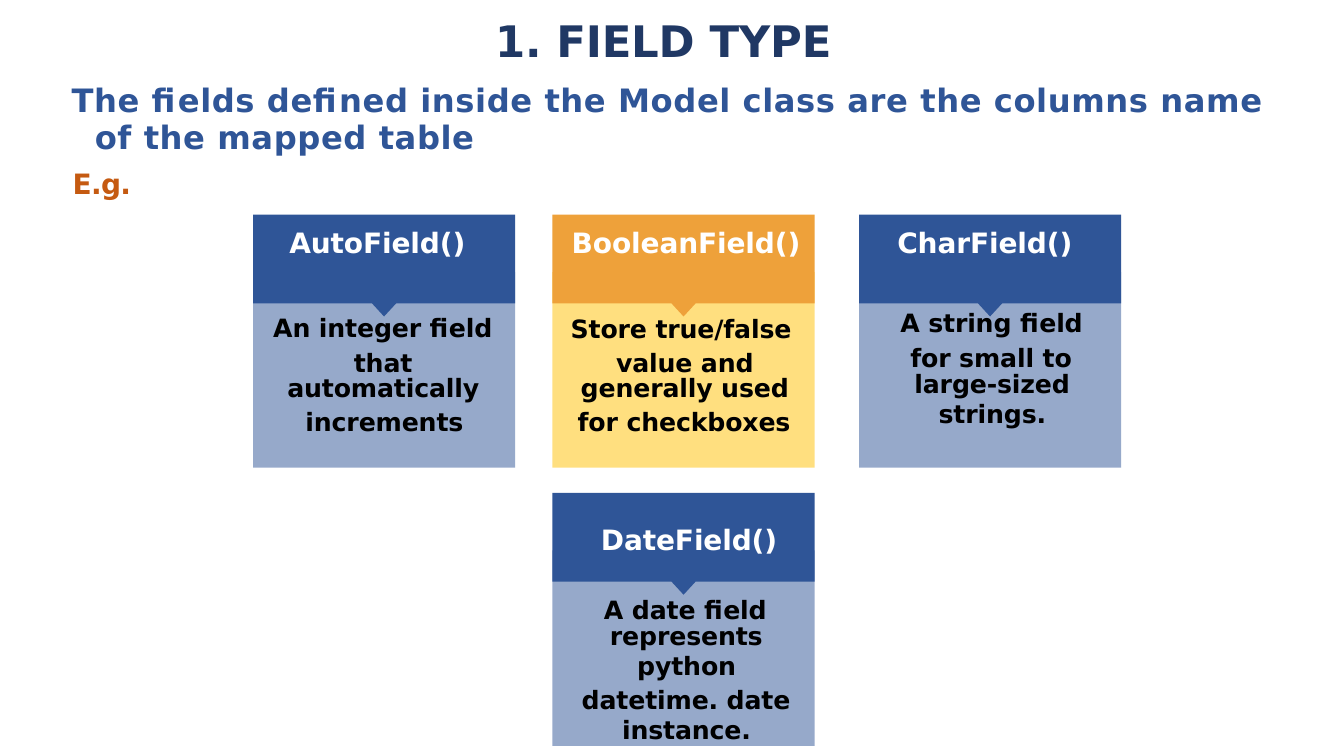
from pptx import Presentation
from pptx.dml.color import RGBColor
from pptx.enum.shapes import MSO_SHAPE
from pptx.oxml.ns import qn
from pptx.util import Inches, Pt
from lxml import etree

RECTANGLE = MSO_SHAPE.RECTANGLE
COLORS = {
    "navy": "203864",
    "blue": "2F5597",
    "rust": "C55A11",
    "orange": "EEA13A",
    "amber": "FFC000",
    "white": "FFFFFF",
    "black": "000000",
}
CARD_WIDTH = 2.6
HEADER_HEIGHT = 0.88
PANEL_OFFSET = 0.57
PANEL_HEIGHT = 1.94
BODY_LINE = 18


class FieldSlide:
    """Style and drawing methods for the field type slide."""

    font = "DejaVu Sans"

    def __init__(self, presentation):
        self.slide = presentation.slides.add_slide(presentation.slide_layouts[6])

    def paint(self, shape, color, opacity=100):
        shape.shadow.inherit = False
        shape.line.fill.background()
        shape.fill.solid()
        shape.fill.fore_color.rgb = RGBColor.from_string(COLORS[color])
        if opacity < 100:
            element = shape.fill._xPr.find(qn("a:solidFill"))[0]
            etree.SubElement(element, qn("a:alpha")).set("val", str(opacity * 1000))

    def panel(self, left, top, color):
        shape = self.slide.shapes.add_shape(
            RECTANGLE, Inches(left), Inches(top), Inches(CARD_WIDTH), Inches(PANEL_HEIGHT))
        self.paint(shape, color, 50)

    def header(self, left, top, color):
        right, bottom, middle = left + CARD_WIDTH, top + HEADER_HEIGHT, left + CARD_WIDTH / 2
        corners = [(right, top), (right, bottom), (middle + 0.12, bottom),
                   (middle, bottom + 0.13), (middle - 0.12, bottom), (left, bottom)]
        builder = self.slide.shapes.build_freeform(Inches(left), Inches(top), scale=1.0)
        builder.add_line_segments([(Inches(x), Inches(y)) for x, y in corners], close=True)
        self.paint(builder.convert_to_shape(), color)

    def text_box(self, left, top, width, height, inset):
        shape = self.slide.shapes.add_textbox(
            Inches(left), Inches(top), Inches(width), Inches(height))
        text_frame = shape.text_frame
        text_frame.word_wrap = True
        text_frame.margin_left = text_frame.margin_right = text_frame.margin_bottom = 0
        text_frame.margin_top = Inches(inset)
        return text_frame

    def line(self, text_frame, text, indent, size, color, height,
             before=0, tracking=-0.1, hanging=0):
        paragraph = text_frame.paragraphs[0]
        if paragraph.text:
            paragraph = text_frame.add_paragraph()
        paragraph.text = text
        paragraph.line_spacing = Pt(height)
        paragraph.space_before = Pt(before)
        properties = paragraph._p.get_or_add_pPr()
        properties.set("marL", str(Inches(indent + hanging)))
        properties.set("indent", str(-Inches(hanging)))
        for run in paragraph.runs:
            run.font.name = self.font
            run.font.size = Pt(size)
            run.font.bold = True
            run.font.color.rgb = RGBColor.from_string(COLORS[color])
            run.font._element.set("spc", str(round(tracking * 100)))

    def card(self, left, top, header_color, panel_color, inset, heading, body):
        self.panel(left, top + PANEL_OFFSET, panel_color)
        self.header(left, top, header_color)
        text_frame = self.text_box(left - 0.01, top - 0.01, 2.63, 2.59, inset)
        name, indent = heading
        self.line(text_frame, name, indent, 20, "white", BODY_LINE)
        for text, indent, before in body:
            self.line(text_frame, text, indent, 18, "black", BODY_LINE, before)


CARDS = [
    (5.48, 4.89, "blue", "blue", 0.39, ("DateField()", 0.49), [
        ("A date field", 0.52, 31), ("represents", 0.58, 0), ("python", 0.85, 3.5),
        ("datetime. date", 0.3, 6.3), ("instance.", 0.7, 3.5)]),
    (5.48, 2.13, "orange", "amber", 0.2, ("BooleanField()", 0.2), [
        ("Store true/false", 0.19, 42), ("value and", 0.64, 6.3),
        ("generally used", 0.29, 0), ("for checkboxes", 0.26, 6.3)]),
    (8.52, 2.13, "blue", "blue", 0.2, ("CharField()", 0.39), [
        ("A string field", 0.42, 38), ("for small to", 0.52, 7),
        ("large-sized", 0.56, 0.5), ("strings.", 0.8, 3.5)]),
    (2.51, 2.13, "blue", "blue", 0.2, ("AutoField()", 0.37), [
        ("An integer field", 0.21, 41.5), ("that", 1.01, 6.8),
        ("automatically", 0.35, 0), ("increments", 0.53, 6.3)]),
]


def main():
    presentation = Presentation()
    presentation.slide_width = Inches(13.33)
    presentation.slide_height = Inches(7.5)
    page = FieldSlide(presentation)
    intro = page.text_box(0.69, 0.06, 12.65, 2.02, 0.18)
    page.line(intro, "1. FIELD TYPE", 4.22, 31, "navy", 30)
    page.line(intro, "The fields defined inside the Model class are the columns name\v"
              "of the mapped table", 0.02, 23, "blue", 26, 12, 0.4, 0.23)
    page.line(intro, "E.g.", 0.03, 20, "rust", 20, 12, -0.5)
    for card in CARDS:
        page.card(*card)
    presentation.save("out.pptx")


if __name__ == "__main__":
    main()
